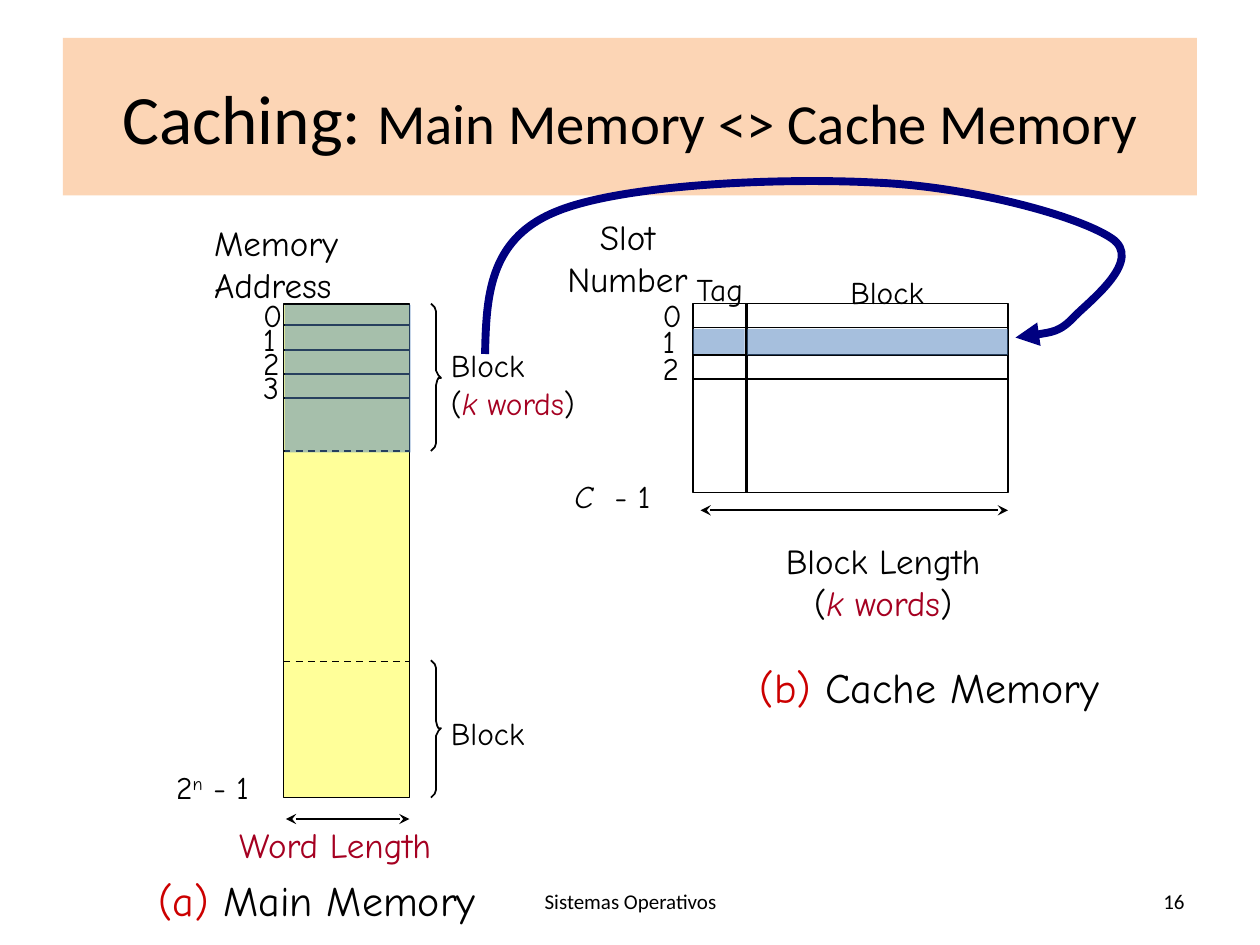
from dataclasses import dataclass

from lxml import etree
from pptx import Presentation
from pptx.dml.color import RGBColor
from pptx.enum.dml import MSO_LINE
from pptx.enum.shapes import MSO_CONNECTOR, MSO_SHAPE
from pptx.enum.text import MSO_ANCHOR, PP_ALIGN
from pptx.oxml.ns import qn
from pptx.util import Emu, Pt

PX = 9144  # EMU per px, 100 px to the inch
RECT = MSO_SHAPE.RECTANGLE
STRAIGHT = MSO_CONNECTOR.STRAIGHT
DASH = MSO_LINE.DASH
LEFT, CENTER, RIGHT = PP_ALIGN.LEFT, PP_ALIGN.CENTER, PP_ALIGN.RIGHT
TOP, MIDDLE = MSO_ANCHOR.TOP, MSO_ANCHOR.MIDDLE


@dataclass(frozen=True)
class Theme:
    ink: str = "000000"
    white: str = "FFFFFF"
    banner: str = "FCD5B5"
    memory: str = "FFFF99"
    block: str = "4F81BD"
    arrow: str = "000080"
    accent: str = "A50021"
    letter: str = "CC0000"
    body: str = "Comic Neue"
    heading: str = "Calibri"
    title: float = 39.6
    subtitle: float = 32.4
    caption: int = 24
    label: int = 20
    small: int = 18
    footer: int = 12
    thin: float = 0.75
    line: int = 1
    thick: float = 4.5


T = Theme()
ACCENT, LETTER = {"color": T.accent}, {"color": T.letter}
WORDS = ["(", ("k", {"color": T.accent, "italic": True}), (" words", ACCENT), ")"]

TITLE_BOX = (50, 30, 900, 125)
TITLE = [["Caching: ", ("Main Memory <> Cache Memory", {"size": T.subtitle})]]
FOOTERS = [
    ((342, 695, 317, 40), CENTER, "Sistemas Operativos"),
    ((717, 695, 233, 40), RIGHT, "16"),
]

TAG = (550, 241, 42, 150)
CACHE = (593, 241, 207, 150)
MEMORY = (225, 241, 100, 392)
MEMORY_ROWS = [(258, None), (278, None), (297, None), (316, None), (358, DASH), (525, DASH)]
CACHE_ROWS = [260, 282, 301]
WIDTH_ARROWS = [(227, 325, 650), (556, 800, 405)]
BRACES = [(342, 524, 109), (342, 241, 117)]
HIGHLIGHTS = [(226, 242, 100, 117), (593, 261, 207, 21), (550, 261, 41, 20)]

# Left edge, first top, step and texts of each column of row numbers
NUMBERS = [(199, 230, 19, "0123"), (516, 230, 21, "012")]

# Box, size, alignment, paragraphs made of runs
LABELS = [
    ((160, 171, 129, 77), T.label, LEFT, [["Memory"], ["Address"]]),
    ((130, 605, 96, 40), T.small, LEFT, [["2", ("n", {"baseline": "30000"}), " - 1"]]),
    ((348, 562, 82, 40), T.small, LEFT, [["Block"]]),
    ((348, 270, 132, 70), T.small, LEFT, [["Block"], WORDS]),
    ((180, 649, 194, 43), T.label, LEFT, [[("Word Length", ACCENT)]]),
    ((436, 166, 124, 77), T.label, CENTER, [["Slot"], ["Number"]]),
    ((543, 209, 65, 40), T.small, LEFT, [["Tag"]]),
    ((665, 212, 82, 40), T.small, LEFT, [["Block"]]),
    ((446, 374, 98, 40), T.small, LEFT, [[("C ", {"italic": True}), " - 1"]]),
    ((606, 423, 190, 77), T.label, CENTER, [["Block Length"], WORDS]),
    ((116, 689, 293, 50), T.caption, LEFT, [[("(a)", LETTER), " Main Memory"]]),
    ((593, 520, 303, 51), T.caption, LEFT, [[("(b) ", LETTER), "Cache Memory"]]),
]

# Start point, then two control points and an end point per segment
COPY_CURVE = [
    (385, 281),
    (386, 236), (388, 191), (439, 169),
    (491, 146), (621, 141), (695, 145),
    (769, 148), (855, 171), (882, 189),
    (908, 206), (866, 238), (853, 251),
    (841, 264), (823, 266), (806, 268),
]


def emu(lengths):
    return [Emu(v * PX) for v in lengths]


def rgb(color):
    return RGBColor.from_string(color)


def style_line(s, color=T.ink, width=T.line, dash=None):
    s.line.color.rgb = rgb(color)
    s.line.width = Pt(width)
    if dash:
        s.line.dash_style = dash


def add_heads(s, **heads):
    """Add arrowheads, headEnd before tailEnd as the schema asks."""
    ln = s.line._get_or_add_ln()
    for end, kind in heads.items():
        etree.SubElement(ln, qn(f"a:{end}"), type=kind)


def add_rect(shapes, box, fill=None, width=None, alpha=None):
    s = shapes.add_shape(RECT, *emu(box))
    s.shadow.inherit = False
    if fill:
        s.fill.solid()
        s.fill.fore_color.rgb = rgb(fill)
    else:
        s.fill.background()
    if alpha:
        clr = s._element.spPr.find(".//" + qn("a:srgbClr"))
        etree.SubElement(clr, qn("a:alpha"), val=str(alpha * 1000))
    if width:
        style_line(s, width=width)
    else:
        s.line.fill.background()
    return s


def add_line(shapes, x1, y1, x2, y2, dash=None):
    s = shapes.add_connector(STRAIGHT, *emu((x1, y1, x2, y2)))
    etree.SubElement(s._element.spPr, qn("a:effectLst"))
    style_line(s, dash=dash)
    return s


def write(s, paragraphs, size, font=T.body, align=LEFT, anchor=TOP, wrap=False):
    tf = s.text_frame
    tf.word_wrap = wrap
    tf.vertical_anchor = anchor
    for i, runs in enumerate(paragraphs):
        p = tf.add_paragraph() if i else tf.paragraphs[0]
        p.alignment = align
        for run in runs:
            text, fmt = (run, {}) if isinstance(run, str) else run
            r = p.add_run()
            r.text = text
            r.font.color.rgb = rgb(fmt.get("color", T.ink))
            values = {"name": font, "size": Pt(fmt.get("size", size)), "italic": fmt.get("italic")}
            for name, value in values.items():
                setattr(r.font, name, value)
            if "baseline" in fmt:
                r._r.get_or_add_rPr().set("baseline", fmt["baseline"])


def add_outline(shapes, points, **style):
    builder = shapes.build_freeform(*points[0], scale=PX)
    builder.add_line_segments(points[1:], close=False)
    s = builder.convert_to_shape()
    s.shadow.inherit = False
    s.fill.background()
    style_line(s, **style)
    return s


def add_brace(shapes, x, y, height):
    mid = height / 2
    half = [(0, 0), (1, 1), (3, 3), (4, 6), (4, 10),
            (4, mid - 10), (4, mid - 6), (5, mid - 3), (6, mid - 1), (8, mid)]
    mirrored = [(dx, height - dy) for dx, dy in half[-2::-1]]
    add_outline(shapes, [(x + dx, y + dy) for dx, dy in half + mirrored])


def bend(s):
    """Turn each three line segments of a freeform into one Bézier segment."""
    path = s._element.spPr.find(".//" + qn("a:path"))
    lines = path.findall(qn("a:lnTo"))
    for i in range(0, len(lines), 3):
        curve = etree.SubElement(path, qn("a:cubicBezTo"))
        for ln in lines[i:i + 3]:
            curve.append(ln[0])
            path.remove(ln)


def main():
    prs = Presentation()
    prs.slide_width, prs.slide_height = emu((1000, 750))
    shapes = prs.slides.add_slide(prs.slide_layouts[6]).shapes

    banner = add_rect(shapes, TITLE_BOX, T.banner)
    write(banner, TITLE, T.title, T.heading, CENTER, MIDDLE, wrap=True)
    for box, align, text in FOOTERS:
        write(shapes.add_textbox(*emu(box)), [[text]], T.footer, T.heading, align, MIDDLE, wrap=True)

    add_rect(shapes, TAG, T.white, T.thin)
    add_rect(shapes, CACHE, width=T.line)
    add_rect(shapes, MEMORY, T.memory, T.line)
    for y, dash in MEMORY_ROWS:
        add_line(shapes, MEMORY[0], y, MEMORY[0] + MEMORY[2], y, dash)
    add_line(shapes, 592, 242, 592, 391)
    for y in CACHE_ROWS:
        add_line(shapes, TAG[0], y, CACHE[0] + CACHE[2], y)

    numbers = [((x, y + i * step, 35, 40), T.small, LEFT, [[digit]])
               for x, y, step, digits in NUMBERS for i, digit in enumerate(digits)]
    for box, size, align, paragraphs in numbers + LABELS:
        write(shapes.add_textbox(*emu(box)), paragraphs, size, align=align)

    for x1, x2, y in WIDTH_ARROWS:
        add_heads(add_line(shapes, x1, y, x2, y), headEnd="stealth", tailEnd="stealth")
    for brace in BRACES:
        add_brace(shapes, *brace)
    curve = add_outline(shapes, COPY_CURVE, color=T.arrow, width=T.thick)
    bend(curve)
    add_heads(curve, tailEnd="triangle")
    for box in HIGHLIGHTS:
        add_rect(shapes, box, T.block, alpha=50)

    prs.save("out.pptx")


if __name__ == "__main__":
    main()
